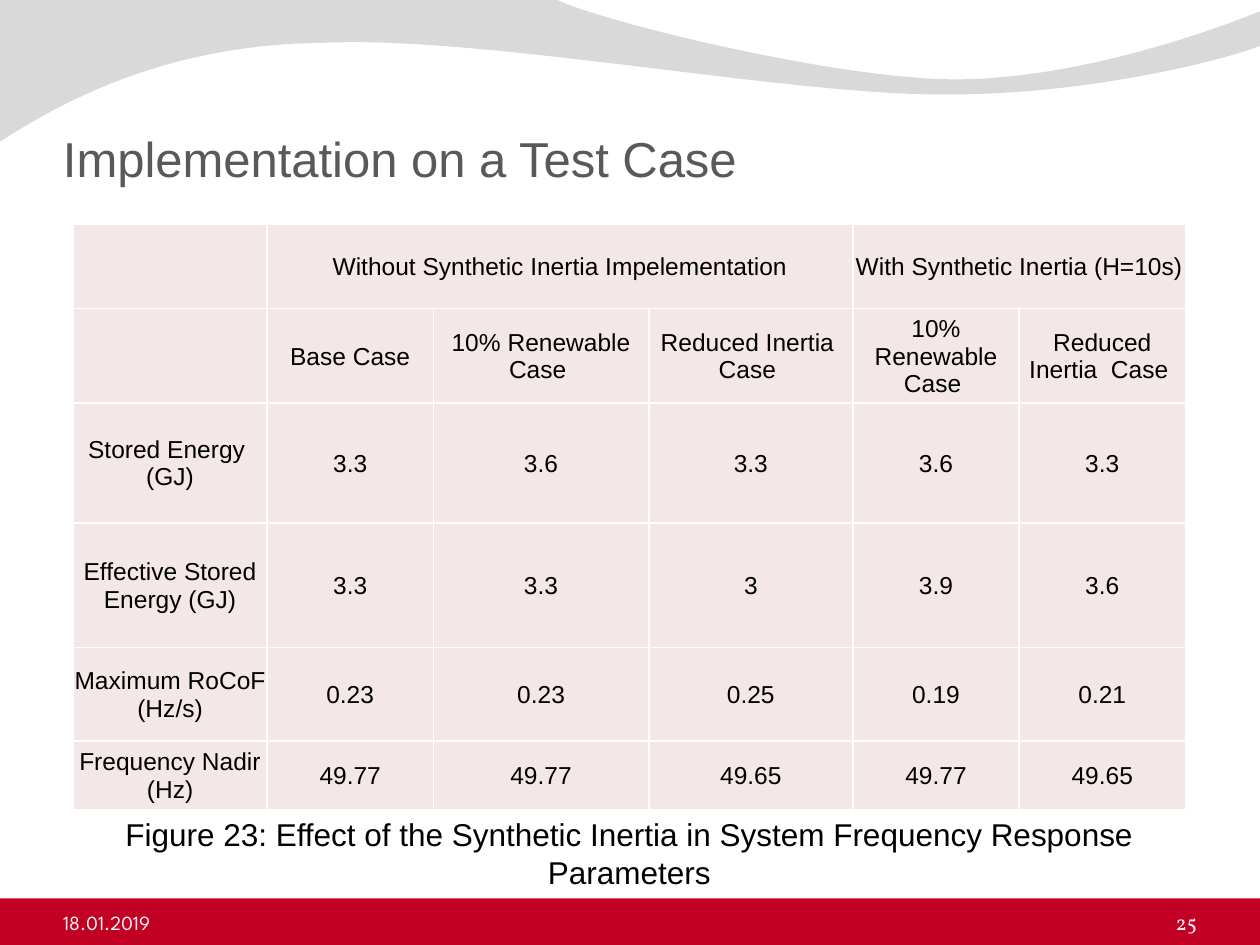
from collections import namedtuple
from dataclasses import dataclass

from lxml.etree import SubElement
from pptx import Presentation
from pptx.dml.color import RGBColor
from pptx.enum.shapes import MSO_SHAPE
from pptx.enum.text import MSO_ANCHOR, PP_ALIGN
from pptx.oxml.ns import qn
from pptx.util import Inches, Pt

Box = namedtuple("Box", "left top width height")
Style = namedtuple("Style", "font size color")


@dataclass(frozen=True)
class Theme:
    red: str = "C20024"
    wave: str = "D9D9D9"
    cell: str = "F4E7E7"
    rule: str = "FFFFFF"
    title: Style = Style("Arial", 28, "595959")
    body: Style = Style("Arial", 14, "000000")
    caption: Style = Style("Arial", 18, "000000")
    date: Style = Style("League Spartan", 11.5, "F2F2F2")
    number: Style = Style("Vollkorn", 12, "F2F2F2")


THEME = Theme()
COLS = [1.54, 1.32, 1.71, 1.62, 1.32, 1.32]
ROWS = [0.67, 0.75, 0.95, 0.99, 0.74, 0.55]
GROUPS = [
    (1, 3, "Without Synthetic Inertia Impelementation"),
    (4, 5, "With Synthetic Inertia (H=10s)"),
]
RENEW, REDUCED = "10% Renewable Case ", "Reduced Inertia  Case "
DATA = [
    ["", "Base Case", RENEW, REDUCED, RENEW, REDUCED],
    ["Stored Energy  (GJ)", "3.3", "3.6", "3.3", "3.6", "3.3"],
    ["Effective Stored Energy (GJ)", "3.3", "3.3", "3", "3.9", "3.6"],
    ["Maximum RoCoF (Hz/s)", "0.23", "0.23", "0.25", "0.19", "0.21"],
    ["Frequency Nadir (Hz)", "49.77", "49.77", "49.65", "49.77", "49.65"],
]
WAVE = [
    [(4.41, 0)],
    [(4.77, 0.18), (6.65, 0.64), (7.59, 0.64)],
    [(8.54, 0.64), (9.59, 0.27), (10.01, 0.1)],
    [(10.02, 0.37)],
    [(9.84, 0.45), (8.71, 0.77), (7.47, 0.76)],
    [(6.23, 0.76), (3.83, 0.29), (2.58, 0.35)],
    [(1.3, 0.36), (0.47, 0.84), (0, 1.14)],
]


def inches(box):
    return [Inches(side) for side in box]


def paint(shape, color):
    shape.fill.solid()
    shape.fill.fore_color.rgb = RGBColor.from_string(color)
    shape.line.fill.background()
    shape.shadow.inherit = False


def write(frame, text, style, align):
    frame.text = text
    line = frame.paragraphs[0]
    line.alignment = align
    font = line.runs[0].font if line.runs else line.font
    font.name, font.size = style.font, Pt(style.size)
    font.color.rgb = RGBColor.from_string(style.color)


def label(slide, box, text, style, align=PP_ALIGN.LEFT,
          anchor=MSO_ANCHOR.BOTTOM, pads=(0, 0, 0, 0)):
    frame = slide.shapes.add_textbox(*inches(box)).text_frame
    frame.word_wrap = True
    frame.vertical_anchor = anchor
    (frame.margin_left, frame.margin_top,
     frame.margin_right, frame.margin_bottom) = inches(pads)
    write(frame, text, style, align)


def bend(shape):
    lines = iter(shape._element.findall(".//" + qn("a:lnTo")))
    for points in WAVE:
        first, *rest = [next(lines) for _ in points]
        if rest:
            trace = first.getparent()
            cubic = SubElement(trace, qn("a:cubicBezTo"))
            trace.replace(first, cubic)
            cubic.append(first[0])
            for line in rest:
                cubic.append(line[0])
                trace.remove(line)


def add_wave(slide, box):
    spots = [(Inches(box.left + x), Inches(box.top + y))
             for points in WAVE for x, y in points]
    form = slide.shapes.build_freeform(Inches(box.left), Inches(box.top))
    form.add_line_segments(spots, close=True)
    shape = form.convert_to_shape()
    bend(shape)
    paint(shape, THEME.wave)


def add_footer(slide, box):
    bar = slide.shapes.add_shape(MSO_SHAPE.RECTANGLE, *inches(box))
    paint(bar, THEME.red)
    label(slide, Box(box.left + 0.5, box.top, 4.38, 0.29),
          "18.01.2019", THEME.date)
    label(slide, Box(box.left + box.width - 1.13, box.top, 0.63, 0.29),
          "25", THEME.number, PP_ALIGN.RIGHT)


def border(cell):
    props = cell._tc.get_or_add_tcPr()
    for place, side in enumerate(("a:lnL", "a:lnR", "a:lnT", "a:lnB")):
        line = SubElement(props, qn(side), w=str(Pt(1)))
        fill = SubElement(line, qn("a:solidFill"))
        SubElement(fill, qn("a:srgbClr"), val=THEME.rule)
        props.insert(place, line)


def add_results(slide, box):
    table = slide.shapes.add_table(
        len(ROWS), len(COLS), *inches(box)).table
    for column, width in zip(table.columns, COLS):
        column.width = Inches(width)
    for row, height in zip(table.rows, ROWS):
        row.height = Inches(height)
    head = [""] * len(COLS)
    for first, last, text in GROUPS:
        head[first] = text
        table.cell(0, first).merge(table.cell(0, last))
    for row, texts in zip(table.rows, [head] + DATA):
        for cell, text in zip(row.cells, texts):
            cell.fill.solid()
            cell.fill.fore_color.rgb = RGBColor.from_string(THEME.cell)
            cell.vertical_anchor = MSO_ANCHOR.MIDDLE
            cell.margin_left = cell.margin_right = Inches(0.01)
            cell.margin_top, cell.margin_bottom = Inches(0.01), 0
            write(cell.text_frame, text, THEME.body, PP_ALIGN.CENTER)
            border(cell)


def add_content(slide, box):
    label(slide, Box(box.left, box.top, box.width, 1.12),
          "Implementation on a Test Case", THEME.title,
          pads=(0, 0.05, 0, 0))
    left, width = box.left + 0.08, sum(COLS)
    add_results(slide, Box(left, box.top + 1.41, width, sum(ROWS)))
    label(slide, Box(left, box.top + 6.05, width, 0.71),
          "Figure 23: Effect of the Synthetic Inertia in System "
          "Frequency Response Parameters", THEME.caption,
          PP_ALIGN.CENTER, MSO_ANCHOR.TOP, (0.1, 0.05, 0.1, 0.05))


def main():
    deck = Presentation()
    deck.slide_width, deck.slide_height = Inches(10), Inches(7.5)
    slide = deck.slides.add_slide(deck.slide_layouts[6])
    add_footer(slide, Box(0, 7.13, 10, 0.37))
    add_wave(slide, Box(-0.01, -0.01, 10.02, 1.14))
    add_content(slide, Box(0.5, 0.37, 9, 6.76))
    deck.save("out.pptx")


if __name__ == "__main__":
    main()
